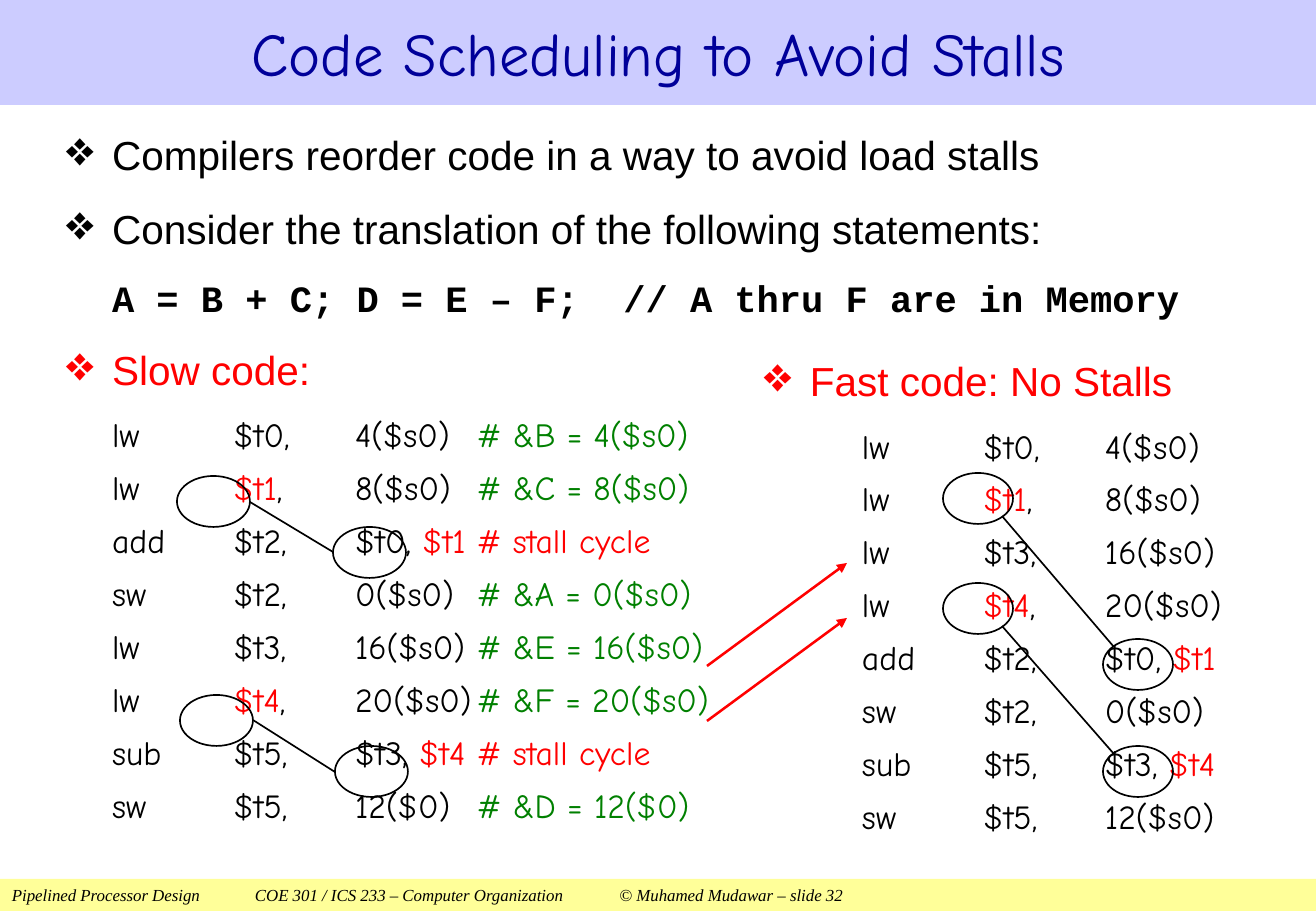
from lxml import etree
from pptx import Presentation
from pptx import util as u
from pptx.dml.color import RGBColor
from pptx.enum import shapes, text
from pptx.oxml import ns

PX = 7526
BLACK, RED, GREEN = "000000", "FF0000", "008000"
BODY_INDENT = 46


def color(hex_code):
    return RGBColor.from_string(hex_code)


def write(frame, spans, font="Arial", size=24, bold=False, italic=False,
          align=None, spacing=None, before=0, indent=0, bullet=False):
    para = frame.paragraphs[0]
    if para.runs:
        para = frame.add_paragraph()
    para.alignment = align
    para.line_spacing = spacing
    props = para._p.get_or_add_pPr()
    props.set("marL", str(indent * PX))
    props.set("indent", str(-BODY_INDENT * PX if bullet else 0))
    props.set("defTabSz", str(u.Inches(1)))
    if before:
        gap = etree.SubElement(props, ns.qn("a:spcBef"))
        etree.SubElement(gap, ns.qn("a:spcPct")).set("val", str(before * 1000))
    if bullet:
        etree.SubElement(props, ns.qn("a:buSzPct")).set("val", "120000")
        etree.SubElement(props, ns.qn("a:buChar")).set("char", "❖")
    for words, hex_code in spans:
        span = para.add_run()
        span.text = words
        span.font.name = font
        span.font.size = u.Pt(size)
        span.font.bold = bold
        span.font.italic = italic
        span.font.color.rgb = color(hex_code)


deck = Presentation()
deck.slide_width = 1316 * PX
deck.slide_height = 911 * PX
page = deck.slides.add_slide(deck.slide_layouts[6])

bands = [
    (0, 105, "CCCCFF", "Code Scheduling to Avoid Stalls", "000099",
     dict(font="Comic Neue", size=36, align=text.PP_ALIGN.CENTER)),
    (879, 32, "FFFF99",
     "Pipelined Processor Design\tCOE 301 / ICS 233 – Computer Organization"
     "\t© Muhamed Mudawar – slide 32", BLACK,
     dict(font="Times New Roman", size=10, italic=True, align=text.PP_ALIGN.LEFT)),
]
for top, height, fill, words, ink, style in bands:
    band = page.shapes.add_shape(
        shapes.MSO_SHAPE.RECTANGLE, 0, top * PX, 1316 * PX, height * PX)
    band.shadow.inherit = False
    band.fill.solid()
    band.fill.fore_color.rgb = color(fill)
    band.line.fill.background()
    band.text_frame.vertical_anchor = text.MSO_ANCHOR.MIDDLE
    write(band.text_frame, [(words, ink)], **style)

frames = []
for left, top, width, height, inset in [(66, 119, 1185, 750, 0), (752, 345, 497, 519, 12)]:
    box = page.shapes.add_textbox(left * PX, top * PX, width * PX, height * PX)
    frame = box.text_frame
    frame.word_wrap = True
    frame.margin_left = frame.margin_right = inset * PX
    frames.append(frame)
slow_frame, fast_frame = frames

heading = dict(spacing=1.1, indent=BODY_INDENT, bullet=True)
write(slow_frame, [("Compilers reorder code in a way to avoid load stalls", BLACK)], **heading)
write(slow_frame, [("Consider the translation of the following statements:", BLACK)],
      before=50, **heading)
write(slow_frame, [("A = B + C; D = E – F;  // A thru F are in Memory", BLACK)],
      font="Courier New", size=22, bold=True, spacing=1.1, before=50, indent=BODY_INDENT)
write(slow_frame, [("Slow code:", RED)], before=50, **heading)
write(fast_frame, [("Fast code: No Stalls", RED)], **heading)

slow_code = [
    ("lw", "$t0", "4($s0)", "", "# &B = 4($s0)"),
    ("lw", "$t1", "8($s0)", "", "# &C = 8($s0)"),
    ("add", "$t2", "$t0, ", "$t1", "# stall cycle"),
    ("sw", "$t2", "0($s0)", "", "# &A = 0($s0)"),
    ("lw", "$t3", "16($s0)", "", "# &E = 16($s0)"),
    ("lw", "$t4", "20($s0)", "", "# &F = 20($s0)"),
    ("sub", "$t5", "$t3, ", "$t4", "# stall cycle"),
    ("sw", "$t5", "12($0)", "", "# &D = 12($0)"),
]
fast_code = [
    ("lw", "$t0", "4($s0)", "", ""),
    ("lw", "$t1", "8($s0)", "", ""),
    ("lw", "$t3", "16($s0)", "", ""),
    ("lw", "$t4", "20($s0)", "", ""),
    ("add", "$t2", "$t0, ", "$t1", ""),
    ("sw", "$t2", "0($s0)", "", ""),
    ("sub", "$t5", "$t3, ", "$t4", ""),
    ("sw", "$t5", "12($s0)", "", ""),
]
for frame, code, indent in [(slow_frame, slow_code, BODY_INDENT), (fast_frame, fast_code, 98)]:
    for row, (opcode, target, operand, hazard, remark) in enumerate(code):
        spans = [
            (f"{opcode}\t", BLACK),
            (target, RED if target in ("$t1", "$t4") else BLACK),
            (f",\t{operand}", BLACK),
        ]
        if hazard:
            spans.append((hazard, RED))
        if remark:
            spans.append((f"\t{remark}", RED if hazard else GREEN))
        write(frame, spans, font="Comic Neue", size=20, spacing=1.1,
              before=25 if row else 50, indent=indent)

lines = [
    (707, 666, 847, 563, RED, 1.5),
    (707, 721, 847, 618, RED, 1.5),
]
ring_height = 51
hazards = [
    (177, 476, 333, 527, 73, 1, 0.5),
    (180, 695, 335, 746, 73, 1, 0.5),
    (943, 473, 1103, 639, 70, 0.85, 0.85),
    (943, 583, 1103, 746, 70, 0.85, 0.85),
]
for x1, y1, x2, y2, ring_width, across, down in hazards:
    for x, y in [(x1, y1), (x2, y2)]:
        ring = page.shapes.add_shape(
            shapes.MSO_SHAPE.OVAL, x * PX, y * PX, ring_width * PX, ring_height * PX)
        ring.shadow.inherit = False
        ring.fill.background()
        ring.line.color.rgb = color(BLACK)
        ring.line.width = u.Pt(1)
    lines.append((
        round(x1 + ring_width * across), round(y1 + ring_height * down),
        round(x2 + ring_width * (1 - across)), round(y2 + ring_height * (1 - down)),
        BLACK, 1))

for x1, y1, x2, y2, ink, weight in lines:
    link = page.shapes.add_connector(
        shapes.MSO_CONNECTOR.STRAIGHT, x1 * PX, y1 * PX, x2 * PX, y2 * PX)
    link.line.color.rgb = color(ink)
    link.line.width = u.Pt(weight)
    if ink == RED:
        etree.SubElement(link.line._get_or_add_ln(), ns.qn("a:tailEnd")).set("type", "triangle")
    etree.SubElement(link._element.spPr, ns.qn("a:effectLst"))

deck.save("out.pptx")
